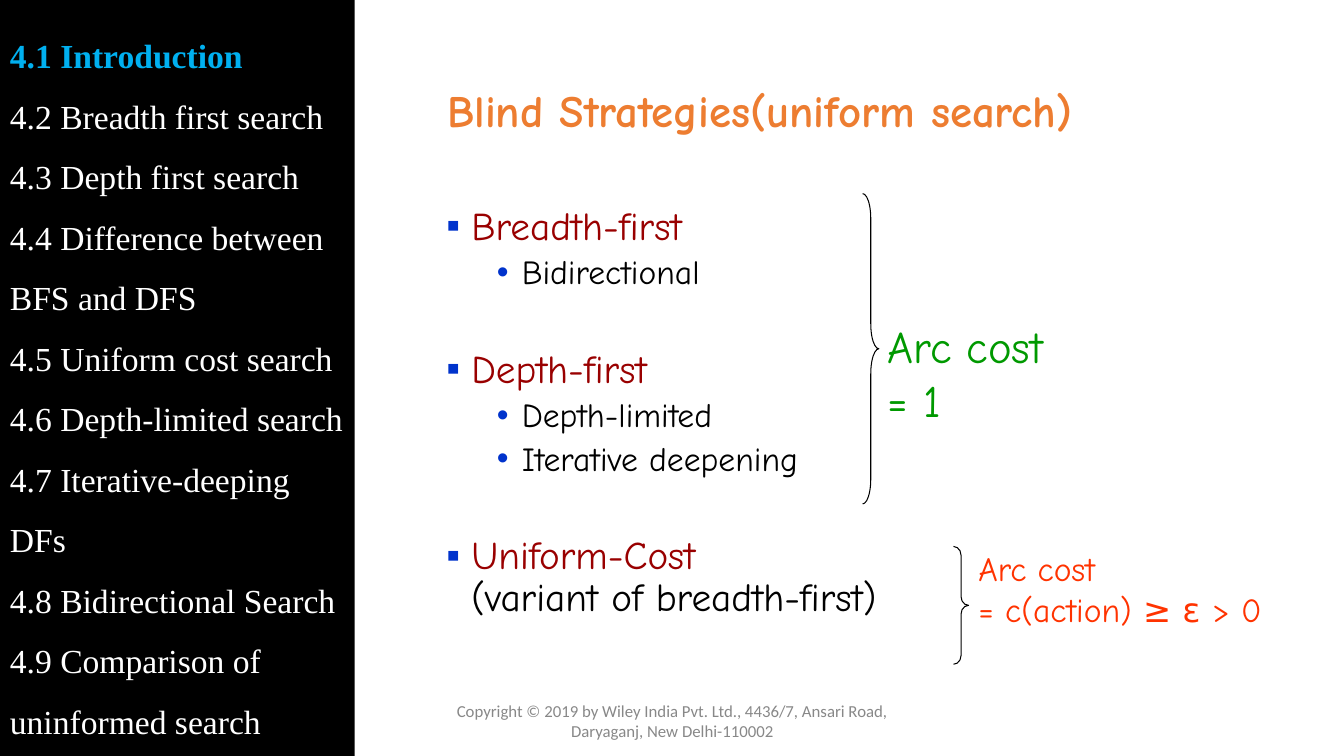
from lxml.etree import SubElement
from pptx import Presentation
from pptx.dml.color import RGBColor
from pptx.enum.shapes import MSO_SHAPE as Shape
from pptx.enum.text import MSO_ANCHOR as Anchor, PP_ALIGN as Align
from pptx.oxml.ns import qn
from pptx.util import Cm, Pt

BLACK = RGBColor(0x00, 0x00, 0x00)
WHITE = RGBColor(0xFF, 0xFF, 0xFF)
SKY = RGBColor(0x00, 0xB0, 0xF0)
ORANGE = RGBColor(0xED, 0x7D, 0x31)
MAROON = RGBColor(0x99, 0x00, 0x00)
GREEN = RGBColor(0x00, 0x99, 0x00)
RED = RGBColor(0xFF, 0x33, 0x00)
GRAY = RGBColor(0x88, 0x88, 0x88)
BULLET_BLUE = RGBColor(0x00, 0x33, 0xCC)
COMIC = "Comic Neue"


def add_text_box(left, top, width, height, anchor=Anchor.TOP):
    box = slide.shapes.add_textbox(Cm(left), Cm(top), Cm(width), Cm(height))
    box.text_frame.word_wrap = True
    box.text_frame.vertical_anchor = anchor
    return box.text_frame


def style(paragraph, name, size, color, bold=False):
    font = paragraph.font
    font.name, font.size, font.bold = name, Pt(size), bold
    font.color.rgb = color


presentation = Presentation()
presentation.slide_width, presentation.slide_height = Cm(33.87), Cm(19.05)
slide = presentation.slides.add_slide(presentation.slide_layouts[6])

# Title
title = add_text_box(11.02, 1.02, 20.5, 3.68, Anchor.MIDDLE).paragraphs[0]
title.text = "Blind Strategies(uniform search)"
title.line_spacing = 0.9
style(title, COMIC, 32, ORANGE, bold=True)

# Strategies: level, space before, text
strategies = [
    (0, 0, "Breadth-first"),
    (1, 5, "Bidirectional"),
    (0, 41, "Depth-first"),
    (1, 5, "Depth-limited"),
    (1, 5, "Iterative deepening"),
    (0, 41, "Uniform-Cost"),
]
levels = [("▪", 0.63, 28, MAROON), ("•", 1.9, 24, BLACK)]
body = add_text_box(11, 5.08, 20.55, 12.09)
for index, (level, space_before, text) in enumerate(strategies):
    bullet, indent, size, color = levels[level]
    paragraph = body.add_paragraph() if index else body.paragraphs[0]
    paragraph.text = text
    paragraph.level = level
    paragraph.line_spacing = 0.9
    paragraph.space_before = Pt(space_before)
    properties = paragraph._p.get_or_add_pPr()
    properties.set("marL", str(Cm(indent)))
    properties.set("indent", str(-Cm(0.63)))
    bullet_color = SubElement(properties, qn("a:buClr"))
    SubElement(bullet_color, qn("a:srgbClr"), val=str(BULLET_BLUE))
    SubElement(properties, qn("a:buFont"), typeface="Arial")
    SubElement(properties, qn("a:buChar"), char=bullet)
    style(paragraph, COMIC, size, color)
paragraph.add_line_break()
variant = paragraph.add_run()
variant.text = "(variant of breadth-first)"
variant.font.color.rgb = BLACK

# Braces with their arc costs: brace box, curve, label box, lines, size, color
arc_costs = [
    ((21.74, 4.88, 0.41, 7.82), 1.54, (22.12, 7.9, 5.05, 1.63),
     ["Arc cost = 1"], 32, GREEN),
    ((24.03, 13.77, 0.38, 2.97), 0.58, (24.41, 13.69, 8.89, 2.31),
     ["Arc cost", "= c(action) ≥ ε > 0"], 24, RED),
]
for brace_box, curve, label_box, lines, size, color in arc_costs:
    brace = slide.shapes.add_shape(Shape.RIGHT_BRACE, *map(Cm, brace_box))
    brace.adjustments[0] = curve
    brace.shadow.inherit = False
    brace.fill.background()
    brace.line.color.rgb = BLACK
    brace.line.width = Pt(0.75)
    label = add_text_box(*label_box)
    label.text = "\n".join(lines)
    for paragraph in label.paragraphs:
        style(paragraph, COMIC, size, color)

# Chapter contents, with the current section highlighted
sections = [
    "Introduction",
    "Breadth first search",
    "Depth first search",
    "Difference between BFS and DFS",
    "Uniform cost search",
    "Depth-limited search",
    "Iterative-deeping DFs",
    "Bidirectional Search",
    "Comparison of uninformed search",
]
sidebar = slide.shapes.add_shape(Shape.RECTANGLE, 0, 0, Cm(8.94), Cm(19.05))
sidebar.shadow.inherit = False
sidebar.fill.solid()
sidebar.fill.fore_color.rgb = BLACK
sidebar.line.fill.background()
contents = sidebar.text_frame
contents.word_wrap = True
contents.vertical_anchor = Anchor.MIDDLE
contents.text = "\n".join(f"4.{number} {name}" for number, name in enumerate(sections, 1))
for index, paragraph in enumerate(contents.paragraphs):
    current = index == 0
    paragraph.alignment = Align.LEFT
    paragraph.line_spacing = 1.5
    style(paragraph, "Times New Roman", 24, SKY if current else WHITE, bold=current)

# Footer
footer = add_text_box(11.23, 17.65, 11.43, 1.02, Anchor.MIDDLE).paragraphs[0]
footer.text = ("Copyright © 2019 by Wiley India Pvt. Ltd., 4436/7, Ansari Road, "
               "Daryaganj, New Delhi-110002")
footer.alignment = Align.CENTER
style(footer, "Calibri", 12, GRAY)

presentation.save("out.pptx")
